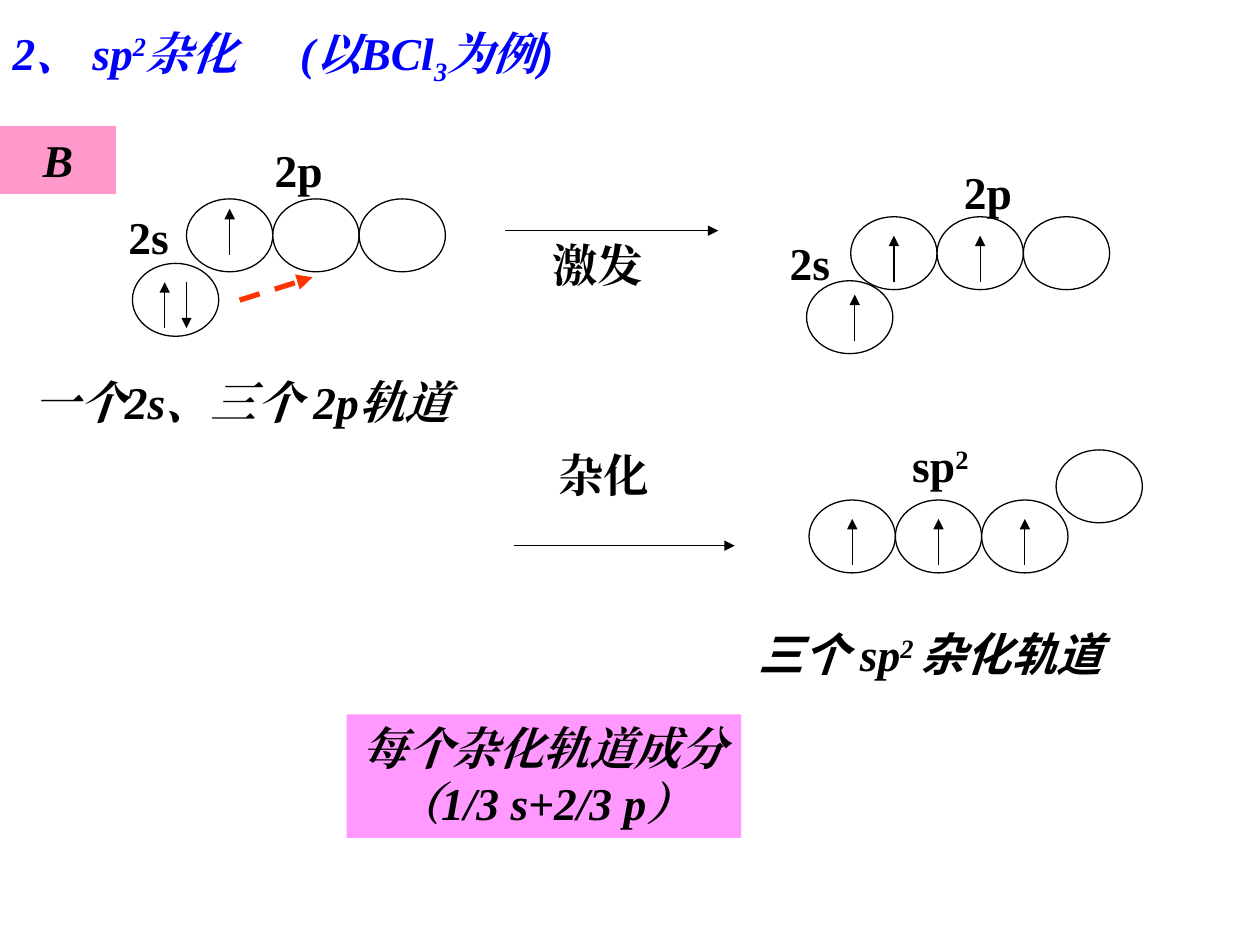
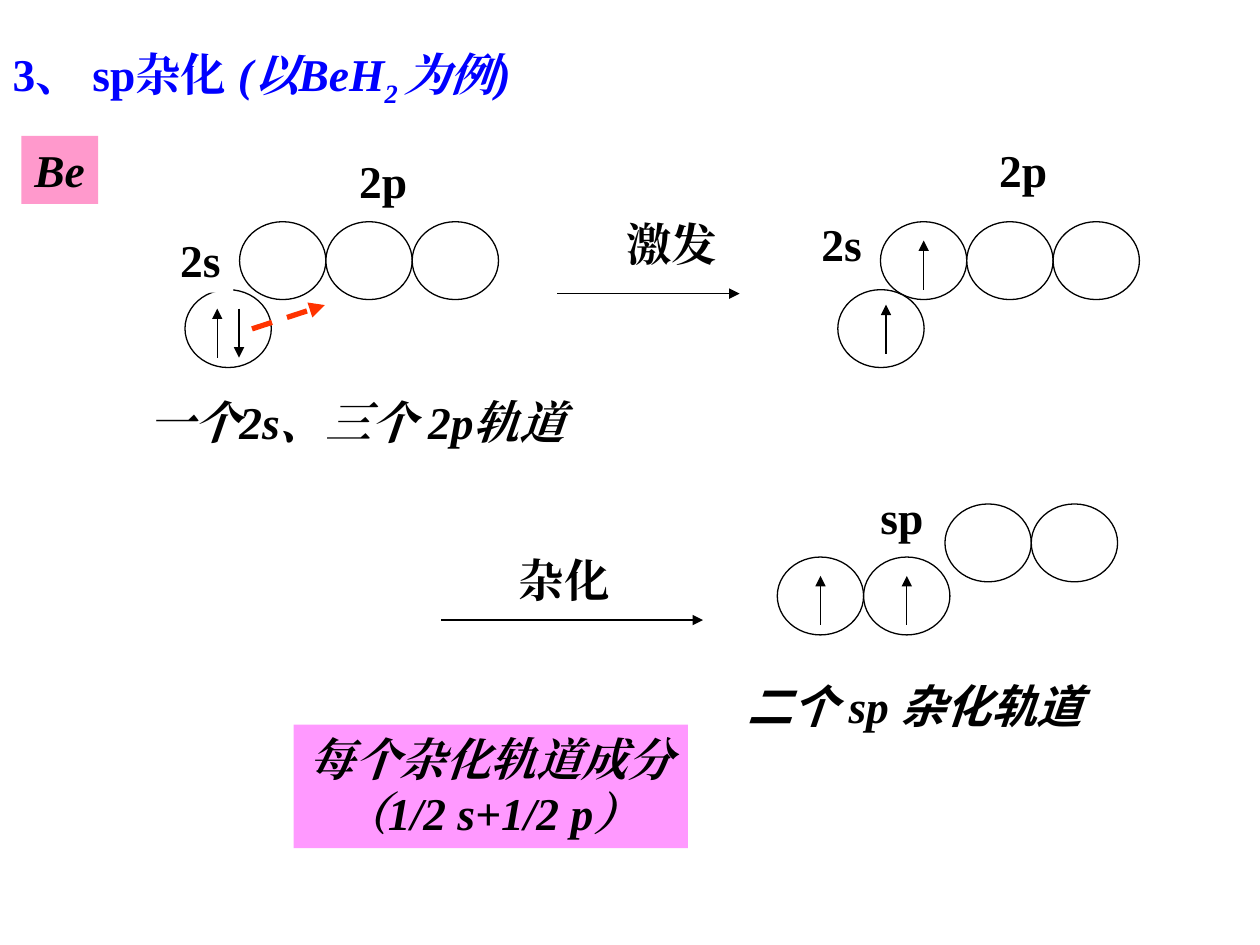
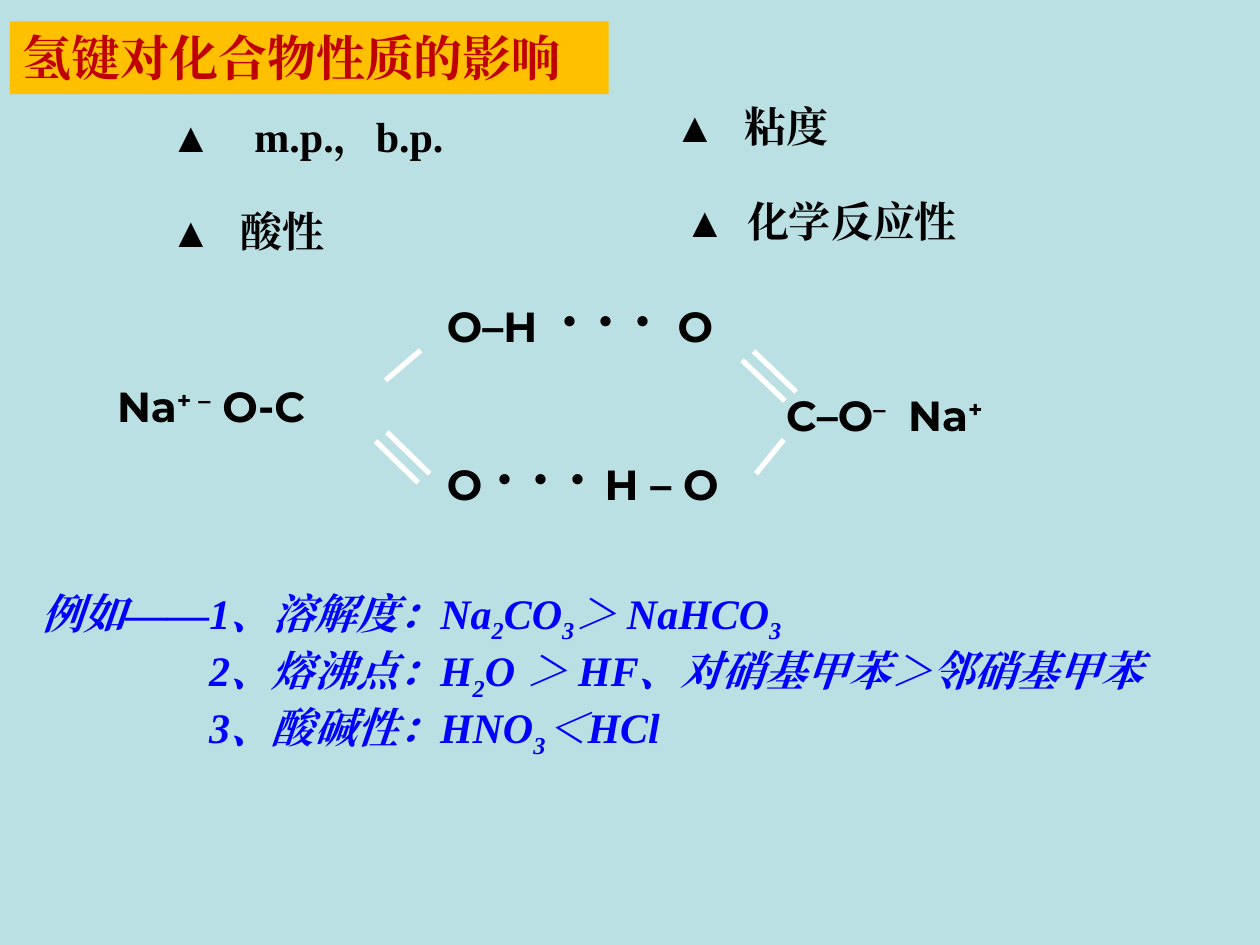
"""Build three chemistry slides: sp2 and sp hybridization, and hydrogen-bond effects."""
from dataclasses import dataclass
from typing import NamedTuple, Optional

from lxml import etree
from pptx import Presentation
from pptx import util as u
from pptx.dml.color import RGBColor
from pptx.enum import dml, shapes, text
from pptx.oxml import ns

Cm = u.Cm
BLACK = RGBColor(0x00, 0x00, 0x00)
WHITE = RGBColor(0xFF, 0xFF, 0xFF)
BLUE = RGBColor(0x00, 0x00, 0xFF)
ORANGE_RED = RGBColor(0xFF, 0x33, 0x00)
DARK_RED = RGBColor(0xC0, 0x00, 0x00)
GOLD = RGBColor(0xFF, 0xC0, 0x00)
PINK = RGBColor(0xFF, 0x99, 0xCC)
VIOLET = RGBColor(0xFF, 0x99, 0xFF)
PALE_TEAL = RGBColor(0xBB, 0xE0, 0xE3)
SERIF, CJK, SANS = "Times New Roman", "Noto Sans CJK SC", "Montserrat"
SUB, SUPER = -25, 30
ORBITAL_WIDTH = 1.74
SPIN_OFFSET = 0.22


class Run(NamedTuple):
    text: str
    base: int = 0
    font: Optional[str] = None
    size: Optional[int] = None
    italic: Optional[bool] = None


class Box(NamedTuple):
    left: float
    top: float
    width: float
    height: float = 1.35


class Style(NamedTuple):
    size: int = 26
    color: RGBColor = BLACK
    italic: bool = False
    font: str = SERIF


PLAIN, ITALIC = Style(), Style(italic=True)
HEADING = Style(color=BLUE, italic=True)
EFFECT, MOLECULE = Style(24), Style(24, font=SANS)
EXAMPLE = Style(24, BLUE, True)


@dataclass(frozen=True)
class Label:
    box: Box
    paragraphs: list[list[Run]]
    style: Style = PLAIN
    fill: Optional[RGBColor] = None
    centered: bool = False
    wrap: bool = True
    tabs: tuple[float, ...] = ()
    line_spacing: Optional[float] = None


@dataclass(frozen=True)
class Orbitals:
    left: float
    top: float
    spins: tuple[str, ...]
    lead: float = 0.38
    shift: float = 0


@dataclass(frozen=True)
class Arrow:
    start: tuple[float, float]
    end: tuple[float, float]
    color: RGBColor = BLACK
    weight: float = 0.75
    dashed: bool = False
    headed: bool = True


@dataclass(frozen=True)
class Hybridization:
    title: Label
    orbital_height: float
    orbitals: list[Orbitals]
    arrows: list[Arrow]
    labels: list[Label]


def place(shape, box: Box) -> None:
    """Move a shape to its box."""
    shape.left, shape.top, shape.width, shape.height = (Cm(side) for side in box)


def add_runs(paragraph, runs: list[Run], style: Style) -> None:
    """Append formatted runs to a paragraph."""
    for part in runs:
        run = paragraph.add_run()
        run.text = part.text
        font = run.font
        font.name = part.font or style.font
        font.size = u.Pt(part.size or style.size)
        font.bold = True
        font.italic = style.italic if part.italic is None else part.italic
        font.color.rgb = style.color
        properties = run._r.get_or_add_rPr()
        if part.base:
            properties.set("baseline", str(part.base * 1000))
        east_asian = etree.Element(ns.qn("a:ea"), typeface=font.name)
        properties.find(ns.qn("a:latin")).addnext(east_asian)


def add_tabs(paragraph, stops: tuple[float, ...]) -> None:
    """Give a paragraph left tab stops."""
    if stops:
        tab_list = etree.SubElement(paragraph._p.get_or_add_pPr(), ns.qn("a:tabLst"))
        for stop in stops:
            etree.SubElement(tab_list, ns.qn("a:tab"), pos=str(Cm(stop)), algn="l")


def fill_label(shape, label: Label) -> None:
    """Place a text shape and write a label into it."""
    place(shape, label.box)
    if label.fill is not None:
        shape.fill.solid()
        shape.fill.fore_color.rgb = label.fill
    frame = shape.text_frame
    frame.word_wrap = label.wrap
    frame.auto_size = text.MSO_AUTO_SIZE.NONE
    frame.vertical_anchor = text.MSO_ANCHOR.TOP
    for index, runs in enumerate(label.paragraphs):
        paragraph = frame.add_paragraph() if index else frame.paragraphs[0]
        paragraph.alignment = text.PP_ALIGN.CENTER if label.centered else text.PP_ALIGN.LEFT
        if label.line_spacing:
            paragraph.line_spacing = label.line_spacing
        add_tabs(paragraph, label.tabs)
        add_runs(paragraph, runs, label.style)


def add_label(slide, label: Label) -> None:
    """Add a label as a text box."""
    fill_label(slide.shapes.add_textbox(0, 0, 0, 0), label)


def add_arrow(slide, arrow: Arrow) -> None:
    """Draw a straight line with an optional arrowhead."""
    line = slide.shapes.add_connector(
        shapes.MSO_CONNECTOR.STRAIGHT, *(Cm(value) for value in arrow.start + arrow.end))
    line.line.color.rgb = arrow.color
    line.line.width = u.Pt(arrow.weight)
    if arrow.dashed:
        line.line.dash_style = dml.MSO_LINE.DASH
    if arrow.headed:
        etree.SubElement(line.line._get_or_add_ln(), ns.qn("a:tailEnd"), type="triangle")
    etree.SubElement(line._element.spPr, ns.qn("a:effectLst"))


def add_orbitals(slide, row: Orbitals, height: float) -> None:
    """Draw a row of touching orbitals with their electron spins."""
    for index, spins in enumerate(row.spins):
        left = row.left + index * ORBITAL_WIDTH
        orbital = slide.shapes.add_shape(
            shapes.MSO_SHAPE.OVAL, Cm(left), Cm(row.top), Cm(ORBITAL_WIDTH), Cm(height))
        orbital.shadow.inherit = False
        orbital.fill.solid()
        orbital.fill.fore_color.rgb = WHITE
        orbital.line.color.rgb = BLACK
        orbital.line.width = u.Pt(0.75)
    high = row.top + row.lead
    low = high + 0.63 * height
    for index, spins in enumerate(row.spins):
        center = row.left + (index + 0.5) * ORBITAL_WIDTH + row.shift
        for order, spin in enumerate(spins):
            x = center + SPIN_OFFSET * (2 * order - len(spins) + 1)
            start, end = (low, high) if spin == "↑" else (high, low)
            add_arrow(slide, Arrow((x, start), (x, end)))


def excitation(start: tuple[float, float], end: tuple[float, float]) -> Arrow:
    """Describe the dashed arrow of an excited electron."""
    return Arrow(start, end, ORANGE_RED, 3, dashed=True)


def bond(start: tuple[float, float], end: tuple[float, float]) -> Arrow:
    """Describe a chemical bond."""
    return Arrow(start, end, WHITE, 3, headed=False)


def double_bond(start: tuple[float, float], end: tuple[float, float]) -> list[Arrow]:
    """Describe two parallel bonds."""
    return [bond((start[0] + dx, start[1] + dy), (end[0] + dx, end[1] + dy))
            for dx, dy in ((0, 0), (0.23, -0.18))]


def word(box: Box, content: str, **options) -> Label:
    """Describe a label of one plain run."""
    return Label(box, [[Run(content)]], **options)


def composition(left: float, top: float, share: str) -> Label:
    """Describe the box that gives the make-up of each hybrid orbital."""
    return Label(Box(left, top, 7.95, 2.49), [[Run("每个杂化轨道成分")], [Run(share)]],
                 ITALIC, VIOLET, centered=True, wrap=False)


def starting_orbitals(left: float, top: float) -> Label:
    """Describe the caption of the orbitals before hybridization."""
    return word(Box(left, top, 9.02, 1.37), "一个2s、三个 2p轨道", style=ITALIC)


BORON = Hybridization(
    title=Label(Box(0, 0, 13.77, 1.7),
                [[Run("2、 sp"), Run("2", SUPER), Run("杂化\t(以BCl"), Run("3", SUB), Run("为例)")]],
                HEADING, tabs=(5.79,), line_spacing=1.3),
    orbital_height=1.47,
    orbitals=[
        Orbitals(2.67, 5.31, ("↑↓",)),
        Orbitals(3.76, 4.01, ("↑", "", ""), lead=0.2),
        Orbitals(17.15, 4.37, ("↑", "↑", "")),
        Orbitals(16.26, 5.66, ("↑",), lead=0.28, shift=0.1),
        Orbitals(16.31, 10.08, ("↑", "↑", "↑")),
        Orbitals(21.29, 9.07, ("",)),
    ],
    arrows=[
        excitation((4.83, 6.05), (6.3, 5.59)),
        Arrow((10.19, 4.65), (14.48, 4.65)),
        Arrow((10.36, 11), (14.81, 11)),
    ],
    labels=[
        word(Box(2.34, 4.09, 1.32), "2s", wrap=False),
        word(Box(4.24, 2.74, 3.56), "2p", centered=True),
        word(Box(15.67, 4.62, 1.32), "2s", wrap=False),
        word(Box(19.18, 3.18, 1.73), "2p"),
        Label(Box(18.14, 8.69, 1.7), [[Run("sp"), Run("2", SUPER)]], wrap=False),
        Label(Box(15.04, 12.5, 8.99),
              [[Run("三个 ", font=CJK), Run("sp"), Run("2 ", SUPER), Run("杂化轨道", font=CJK)]],
              ITALIC),
        word(Box(9.09, 4.65, 5.92), "激发", centered=True),
        word(Box(11, 8.89, 2.97), "杂化"),
        word(Box(0, 2.54, 2.34, 1.37), "B", style=ITALIC, fill=PINK, centered=True),
        composition(6.99, 14.4, "（1/3 s+2/3 p）"),
        starting_orbitals(0.43, 7.42),
    ],
)

BERYLLIUM = Hybridization(
    title=Label(Box(0, 0.43, 12.5, 1.7),
                [[Run("3、 sp杂化 ", italic=False), Run("(以BeH"), Run("2 ", SUB), Run("为例)")]],
                HEADING, line_spacing=1.3),
    orbital_height=1.57,
    orbitals=[
        Orbitals(3.73, 5.84, ("↑↓",)),
        Orbitals(4.83, 4.47, ("", "", "")),
        Orbitals(17.75, 4.47, ("↑", "", "")),
        Orbitals(16.89, 5.84, ("↑",), lead=0.3, shift=0.1),
        Orbitals(15.67, 11.23, ("↑", "↑")),
        Orbitals(19.05, 10.16, ("", "")),
    ],
    arrows=[
        excitation((5.08, 6.63), (6.55, 6.15)),
        Arrow((11.23, 5.92), (14.91, 5.92)),
        Arrow((8.89, 12.5), (14.17, 12.5)),
    ],
    labels=[
        word(Box(3.38, 4.55, 1.32), "2s", fill=WHITE, wrap=False),
        word(Box(6.99, 2.97, 1.68), "2p", fill=WHITE),
        word(Box(16.31, 4.24, 1.32), "2s", fill=WHITE, wrap=False),
        word(Box(19.89, 2.74, 1.7), "2p", fill=WHITE),
        word(Box(17.5, 9.73, 1.37), "sp", fill=WHITE, wrap=False),
        Label(Box(14.81, 13.54, 8.99),
              [[Run("二个 ", font=CJK), Run("sp "), Run("杂化轨道", font=CJK)]], ITALIC, WHITE),
        word(Box(11, 4.24, 5.08), "激发", fill=WHITE, centered=True),
        word(Box(9.45, 11, 3.86), "杂化", fill=WHITE, centered=True),
        composition(5.92, 14.61, "（1/2 s+1/2 p）"),
        word(Box(0.43, 2.74, 1.55, 1.37), "Be", style=ITALIC, fill=PINK, centered=True, wrap=False),
        starting_orbitals(2.74, 7.82),
    ],
)

BOND_TITLE = word(Box(0.2, 0.43, 12.07, 1.47), "氢键对化合物性质的影响",
                  style=Style(28, DARK_RED), fill=GOLD)
EFFECTS = [
    word(Box(left, top, width, 1.88), f"▲\t{effect}", style=EFFECT, tabs=(tab,))
    for left, top, width, effect, tab in (
        (3.18, 2.11, 8.99, "m.p.，b.p.", 1.7),
        (13.34, 1.91, 4.67, "粘度", 1.42),
        (3.18, 4.01, 5.36, "酸性", 1.42),
        (13.54, 3.81, 7.62, "化学反应性", 1.27),
    )
]
MOLECULES = [
    Label(Box(2.11, 7.54, 5.28, 1.88),
          [[Run("Na"), Run("+ –", SUPER), Run(" O-C")]], MOLECULE),
    Label(Box(15.6, 7.72, 5.82, 1.88),
          [[Run("C–O"), Run("–", SUPER), Run("\tNa"), Run("+", SUPER)]], MOLECULE, tabs=(2.46,)),
    Label(Box(8.76, 5.51, 6.99, 2.64),
          [[Run("O–H\t"), Run("· · ·", font=SERIF, size=36), Run("\tO")]],
          MOLECULE, tabs=(2.26, 4.65)),
    Label(Box(8.76, 8.69, 7.39, 2.62),
          [[Run("O "), Run("· · · ", font=SERIF, size=36), Run("H – O")]], MOLECULE),
]
BONDS = [
    bond((7.77, 7.67), (8.48, 7.06)),
    bond((15.24, 9.55), (15.8, 8.86)),
    *double_bond((7.57, 8.89), (8.43, 9.73)),
    *double_bond((14.96, 7.26), (15.82, 8.08)),
]
EXAMPLES = Label(
    Box(0.58, 11.71, 24.61, 3.33),
    [
        [Run("例如——1、溶解度：Na"), Run("2", SUB), Run("CO"), Run("3", SUB),
         Run("＞ NaHCO"), Run("3", SUB)],
        [Run("2、熔沸点：H"), Run("2", SUB), Run("O ＞ HF、对硝基甲苯＞邻硝基甲苯")],
        [Run("3、酸碱性：HNO"), Run("3", SUB), Run("＜HCl")],
    ],
    EXAMPLE,
)


def build_hybridization(deck, scheme: Hybridization) -> None:
    """Add a slide that shows one hybridization scheme."""
    slide = deck.slides.add_slide(deck.slide_layouts[5])
    fill_label(slide.shapes.title, scheme.title)
    for row in scheme.orbitals:
        add_orbitals(slide, row, scheme.orbital_height)
    for label in scheme.labels:
        add_label(slide, label)
    for arrow in scheme.arrows:
        add_arrow(slide, arrow)


def build_hydrogen_bond(deck) -> None:
    """Add the slide on the effects of hydrogen bonds."""
    slide = deck.slides.add_slide(deck.slide_layouts[1])
    slide.background.fill.solid()
    slide.background.fill.fore_color.rgb = PALE_TEAL
    fill_label(slide.shapes.title, BOND_TITLE)
    for label in EFFECTS + MOLECULES:
        add_label(slide, label)
    for line in BONDS:
        add_arrow(slide, line)
    examples = slide.placeholders[1]
    fill_label(examples, EXAMPLES)
    for index, paragraph in enumerate(examples.text_frame.paragraphs):
        paragraph.space_before = u.Pt(0)
        properties = paragraph._p.get_or_add_pPr()
        properties.set("marL", str(Cm(3.38) if index else 0))
        properties.set("indent", "0")
        etree.SubElement(properties, ns.qn("a:buNone"))


def main() -> None:
    """Build and save the deck."""
    deck = Presentation()
    deck.slide_width, deck.slide_height = Cm(25.4), Cm(19.05)
    for scheme in (BORON, BERYLLIUM):
        build_hybridization(deck, scheme)
    build_hydrogen_bond(deck)
    deck.save("out.pptx")


if __name__ == "__main__":
    main()
